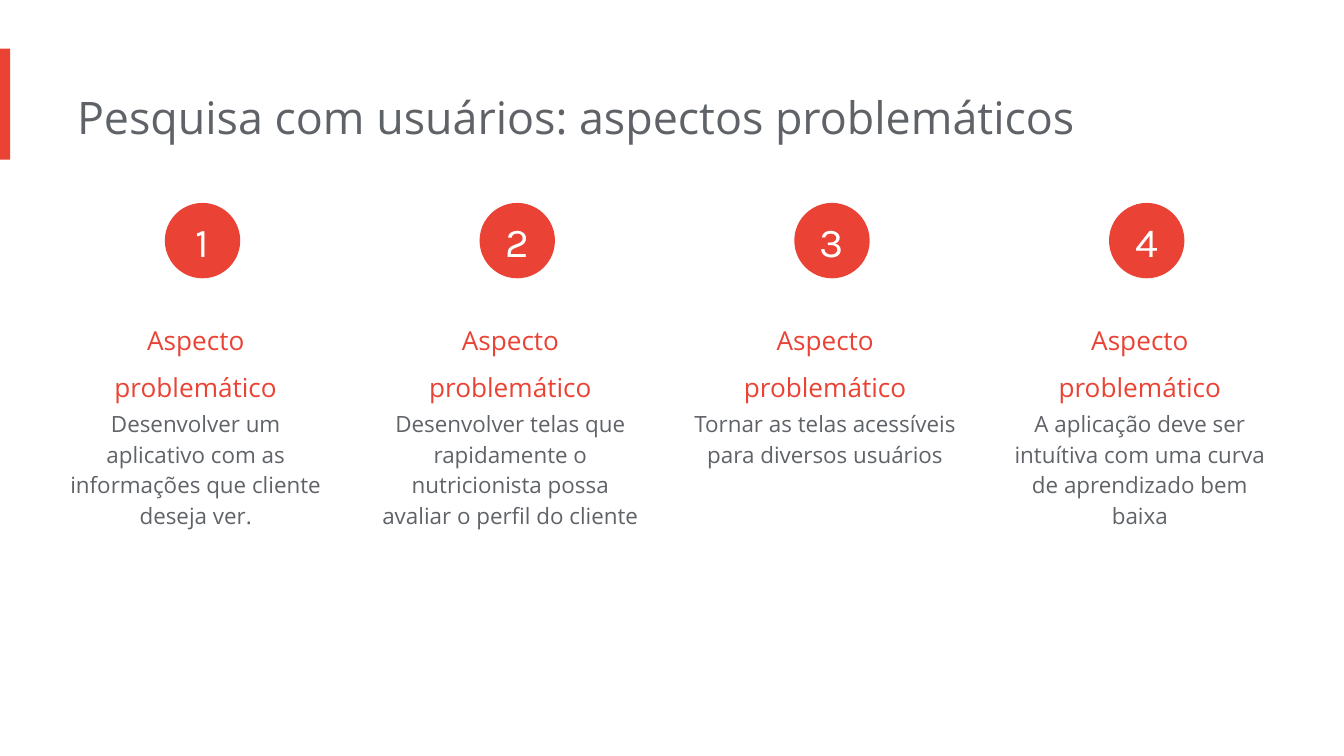
from pptx import Presentation
from pptx.dml.color import RGBColor
from pptx.enum.shapes import MSO_SHAPE
from pptx.enum.text import MSO_ANCHOR, MSO_AUTO_SIZE, PP_ALIGN
from pptx.util import Pt

COLORS = {"red": "EA4335", "gray": "5F6368", "white": "FFFFFF"}
TITLE = {"name": "Open Sans", "size": Pt(24), "color": "gray"}
HEADING = {"name": "Open Sans", "size": Pt(14), "color": "red"}
BODY = {"name": "Open Sans", "size": Pt(12), "color": "gray"}
NUMBER = {"name": "Karla", "size": Pt(22), "color": "white"}

BOX_FRAME = {
    "word_wrap": True, "auto_size": MSO_AUTO_SIZE.SHAPE_TO_FIT_TEXT,
    "vertical_anchor": MSO_ANCHOR.TOP, "margin_left": 0,
    "margin_top": Pt(7.2), "margin_right": Pt(7.2), "margin_bottom": Pt(7.2),
}
CIRCLE_FRAME = {
    "word_wrap": True, "vertical_anchor": MSO_ANCHOR.MIDDLE, "margin_left": 0,
    "margin_top": 0, "margin_right": 0, "margin_bottom": 0,
}


def write_text(shape, text, font_format, frame_format, **paragraph_format):
    frame = shape.text_frame
    for name, value in frame_format.items():
        setattr(frame, name, value)
    paragraph = frame.paragraphs[0]
    for name, value in paragraph_format.items():
        setattr(paragraph, name, value)
    run = paragraph.add_run()
    run.text = text
    for name, value in font_format.items():
        if name == "color":
            run.font.color.rgb = RGBColor.from_string(COLORS[value])
        else:
            setattr(run.font, name, value)


def add_red_shape(kind, left, top, width, height):
    shape = slide.shapes.add_shape(kind, Pt(left), Pt(top), Pt(width), Pt(height))
    shape.shadow.inherit = False
    shape.fill.solid()
    shape.fill.fore_color.rgb = RGBColor.from_string(COLORS["red"])
    shape.line.fill.background()
    return shape


presentation = Presentation()
presentation.slide_width = Pt(720)
presentation.slide_height = Pt(405)
slide = presentation.slides.add_slide(presentation.slide_layouts[6])

# Accent bar and title
add_red_shape(MSO_SHAPE.RECTANGLE, 0, 26, 5.5, 59.5)
title = slide.shapes.add_textbox(Pt(41.3), Pt(41), Pt(554), Pt(44))
write_text(title, "Pesquisa com usuários: aspectos problemáticos", TITLE, BOX_FRAME)

# Four numbered columns
ASPECTS = [
    "Desenvolver um aplicativo com as informações que cliente deseja ver.",
    "Desenvolver telas que rapidamente o nutricionista possa avaliar o perfil do cliente",
    "Tornar as telas acessíveis para diversos usuários",
    "A aplicação deve ser intuítiva com uma curva de aprendizado bem baixa",
]
COLUMN_LEFT, COLUMN_STEP, COLUMN_WIDTH = 34.6, 168.6, 147.6
CIRCLE_SIZE, CIRCLE_INDENT = 40.4, 53.7

for index, aspect in enumerate(ASPECTS):
    left = COLUMN_LEFT + index * COLUMN_STEP
    circle = add_red_shape(MSO_SHAPE.OVAL, left + CIRCLE_INDENT, 108.7,
                           CIRCLE_SIZE, CIRCLE_SIZE)
    write_text(circle, str(index + 1), NUMBER, CIRCLE_FRAME,
               alignment=PP_ALIGN.CENTER)

    for text, font_format, top, height, spacing in (
        ("Aspecto problemático", HEADING, 158.4, 31.7, 1.5),
        (aspect, BODY, 210.2, 80.6, 1.15),
    ):
        box = slide.shapes.add_textbox(Pt(left), Pt(top), Pt(COLUMN_WIDTH), Pt(height))
        write_text(box, text, font_format, BOX_FRAME,
                   alignment=PP_ALIGN.CENTER, line_spacing=spacing)

presentation.save("out.pptx")
